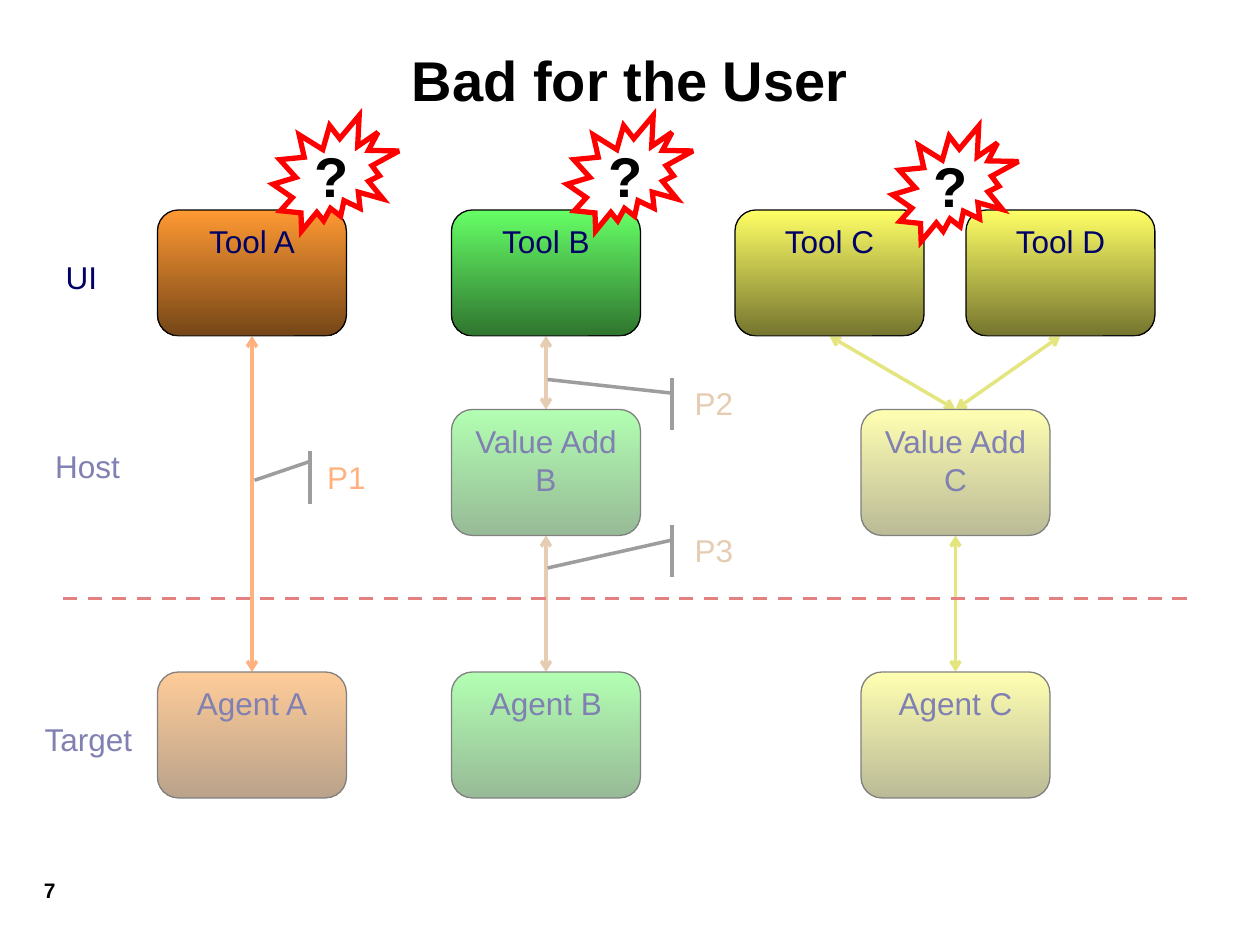
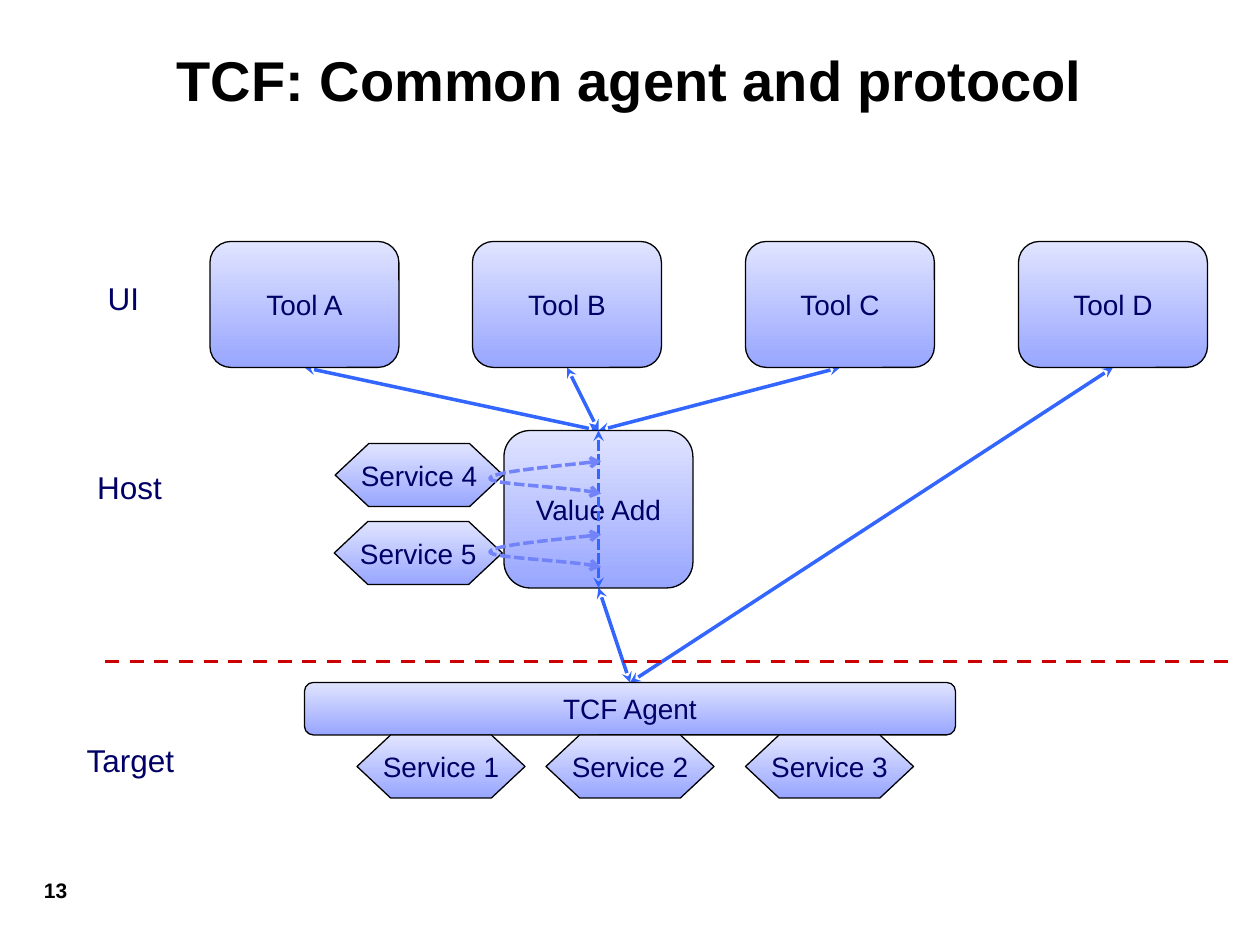
from lxml import etree
from pptx import Presentation
from pptx.dml.color import RGBColor
from pptx.enum.dml import MSO_LINE
from pptx.enum.shapes import MSO_CONNECTOR, MSO_SHAPE
from pptx.enum.text import MSO_ANCHOR, PP_ALIGN
from pptx.oxml.ns import qn
from pptx.util import Pt

BOX = MSO_SHAPE.ROUNDED_RECTANGLE
HEXAGON = MSO_SHAPE.FLOWCHART_PREPARATION
BURST = MSO_SHAPE.EXPLOSION2
CALLOUT = MSO_SHAPE.LINE_CALLOUT_1_ACCENT_BAR
RECTANGLE = MSO_SHAPE.RECTANGLE
STRAIGHT = MSO_CONNECTOR.STRAIGHT
DASH, SHORT_DASH = MSO_LINE.DASH, MSO_LINE.SQUARE_DOT
TOP, MIDDLE = MSO_ANCHOR.TOP, MSO_ANCHOR.MIDDLE
LEFT, CENTER = PP_ALIGN.LEFT, PP_ALIGN.CENTER

FONT = "Arial"
COLORS = {
    "black": "000000", "white": "FFFFFF", "label": "000066",
    "divider": "CC0000", "burst": "FF0000", "callout": "3B3B3B",
    "link_a": "FF6600", "link_b": "CC9966", "link_c": "CCCC00",
    "tcf_link": "3366FF", "service_link": "7283F9",
}
GRADIENTS = {
    "a": ("FF9933", "754617"),
    "b": ("66FF66", "2F752F"),
    "c": ("FFFF66", "75752F"),
    "tcf": ("E0E4FF", "98A6FF"),
}
BOX_W, BOX_H = 108, 72
SERVICE_W, SERVICE_H = 96, 36
LINK_WIDTH = 2.01


def rgb(name):
    return RGBColor.from_string(COLORS[name])


def write(shape, text, size, color="label", bold=False, align=CENTER,
          anchor=TOP, wrap=True, spaced=True):
    frame = shape.text_frame
    frame.word_wrap = wrap
    frame.vertical_anchor = anchor
    paragraph = frame.paragraphs[0]
    paragraph.text = text
    paragraph.alignment = align
    if spaced:
        paragraph.space_before = Pt(size * 5 / 16)
        paragraph.space_after = Pt(size * 3 / 16)
    font = paragraph.font
    font.name, font.size, font.bold = FONT, Pt(size), bold
    font.color.rgb = rgb(color)


def add_text(slide, x, y, w, h, text, size, **style):
    write(slide.shapes.add_textbox(Pt(x), Pt(y), Pt(w), Pt(h)), text, size, **style)


def style_line(line, color, width, dash=None, arrow=None):
    line.color.rgb = rgb(color)
    line.width = Pt(width)
    if dash:
        line.dash_style = dash
    if arrow:
        for end in ("a:headEnd", "a:tailEnd"):
            etree.SubElement(line._get_or_add_ln(), qn(end), type=arrow)


def add_line(slide, start, end, color, dash=None, arrow=None):
    points = [Pt(value) for value in (*start, *end)]
    connector = slide.shapes.add_connector(STRAIGHT, *points)
    style_line(connector.line, color, LINK_WIDTH, dash, arrow)
    etree.SubElement(connector._element.spPr, qn("a:effectLst"))


def add_preset(slide, kind, x, y, w, h):
    shape = slide.shapes.add_shape(kind, Pt(x), Pt(y), Pt(w), Pt(h))
    shape.shadow.inherit = False
    return shape


def add_node(slide, x, y, text, gradient, w=BOX_W, h=BOX_H, kind=BOX, size=18, **style):
    node = add_preset(slide, kind, x, y, w, h)
    node.fill.gradient()
    node.fill.gradient_angle = 270
    for stop, position, color in zip(node.fill.gradient_stops, (0, 1), GRADIENTS[gradient]):
        stop.position = position
        stop.color.rgb = RGBColor.from_string(color)
    style_line(node.line, "black", 0.75)
    write(node, text, size, **style)


def add_tcf_node(slide, x, y, text, **style):
    add_node(slide, x, y, text, "tcf", size=16, anchor=MIDDLE, **style)


def add_service(slide, x, y, number):
    add_tcf_node(slide, x, y, f"Service {number}", w=SERVICE_W, h=SERVICE_H,
                 kind=HEXAGON, wrap=False)


def add_callout(slide, x, y, text, color, adjustments):
    callout = add_preset(slide, CALLOUT, x, y, 36, 30)
    for index, value in enumerate(adjustments):
        callout.adjustments[index] = value
    callout.fill.background()
    style_line(callout.line, "callout", LINK_WIDTH)
    write(callout, text, 18, color=color, wrap=False)


def add_veil(slide, x, y, w, h):
    """Half-transparent white sheet that fades what lies below it."""
    veil = add_preset(slide, RECTANGLE, x, y, w, h)
    veil.fill.solid()
    veil.fill.fore_color.rgb = rgb("white")
    veil.line.fill.background()
    color = veil._element.spPr.find(".//" + qn("a:srgbClr"))
    etree.SubElement(color, qn("a:alpha"), val="50000")


def add_burst(slide, x, y):
    burst = add_preset(slide, BURST, x, y, 72, 66)
    burst.fill.solid()
    burst.fill.fore_color.rgb = rgb("white")
    style_line(burst.line, "burst", 3)
    # Sharp points
    etree.SubElement(burst.line._get_or_add_ln(), qn("a:miter"), lim="800000")
    write(burst, "?", 32, color="black", bold=True, anchor=MIDDLE, wrap=False)


def add_curve(slide, points, color):
    """Bezier curve: a start point, then three points per segment."""
    start, *rest = [(Pt(x), Pt(y)) for x, y in points]
    builder = slide.shapes.build_freeform(*start)
    builder.add_line_segments(rest, close=False)
    curve = builder.convert_to_shape()
    outline = curve._element.spPr.find(".//" + qn("a:path"))
    segments = outline.findall(qn("a:lnTo"))
    for first in range(0, len(segments), 3):
        bezier = etree.SubElement(outline, qn("a:cubicBezTo"))
        for segment in segments[first:first + 3]:
            bezier.append(segment[0])
            outline.remove(segment)
    curve.shadow.inherit = False
    curve.fill.background()
    style_line(curve.line, color, LINK_WIDTH, SHORT_DASH, "arrow")


def add_base(prs, title, number):
    slide = prs.slides.add_slide(prs.slide_layouts[6])
    add_text(slide, 18, 18, 684, 54, title, 32, color="black", bold=True,
             anchor=MIDDLE, spaced=False)
    add_text(slide, 18, 498, 90, 36, str(number), 12, color="black", bold=True,
             align=LEFT, spaced=False)
    return slide


def add_row_labels(slide, dx=0, dy=0):
    for text, x, y, w in (("UI", 29, 144, 35), ("Host", 23, 252, 54),
                          ("Target", 16, 408, 69)):
        add_text(slide, x + dx, y + dy, w, 29, text, 18, wrap=False)


def add_divider(slide, x, y):
    add_line(slide, (x, y), (x + 648, y), "divider", DASH)


def build_separate_tools(prs):
    slide = add_base(prs, "Bad for the User", 7)
    add_row_labels(slide)
    tool_y, value_y, agent_y = 120, 234, 384
    tool_end, value_end = tool_y + BOX_H, value_y + BOX_H
    a, b, c, d, shared = 90, 258, 420, 552, 492

    # Links: start column and height, end column and height
    for x1, y1, x2, y2, color in (
            (a, tool_end, a, agent_y, "link_a"),
            (b, value_end, b, agent_y, "link_b"),
            (b, tool_end, b, value_y, "link_b"),
            (shared, value_end, shared, agent_y, "link_c"),
            (c, tool_end, shared, value_y, "link_c"),
            (d, tool_end, shared, value_y, "link_c")):
        add_line(slide, (x1 + BOX_W / 2, y1), (x2 + BOX_W / 2, y2), color, arrow="arrow")

    # Tools, agents and value adds
    for x, y, text, gradient in (
            (a, tool_y, "Tool A", "a"), (b, tool_y, "Tool B", "b"),
            (c, tool_y, "Tool C", "c"), (d, tool_y, "Tool D", "c"),
            (a, agent_y, "Agent A", "a"), (b, agent_y, "Agent B", "b"),
            (shared, agent_y, "Agent C", "c"),
            (b, value_y, "Value Add B", "b"), (shared, value_y, "Value Add C", "c")):
        add_node(slide, x, y, text, gradient)
    add_divider(slide, 36, 342)

    # Protocol callouts
    add_callout(slide, 180, 258, "P1", "link_a", (0.19, -0.08, 0.55, -0.96))
    add_callout(slide, 390, 300, "P3", "link_b", (0.29, -0.17, 0.82, -2.14))
    add_callout(slide, 390, 216, "P2", "link_b", (0.29, -0.17, 0.03, -2.14))

    # Fade all but the tools, then question them
    add_veil(slide, 12, 192, 672, 288)
    for x, y in ((156, 66), (324, 66), (510, 72)):
        add_burst(slide, x, y)


def build_common_agent(prs):
    slide = add_base(prs, "TCF: Common agent and protocol", 13)
    tool_y, tool_end = 138, 138 + BOX_H
    tools = {"Tool A": 120, "Tool B": 270, "Tool C": 426, "Tool D": 582}
    value_top, value_bottom, agent_top = (342, 246), (342, 336), (360, 390)

    # Host services, behind the value add
    add_service(slide, 191.5, 253.5, 4)
    add_service(slide, 191, 298, 5)

    # Links
    for tool, x in tools.items():
        end = agent_top if tool == "Tool D" else value_top
        add_line(slide, (x + BOX_W / 2, tool_end), end, "tcf_link", arrow="stealth")
    add_line(slide, value_bottom, agent_top, "tcf_link", arrow="stealth")

    # Tools, agent and value add
    for tool, x in tools.items():
        add_tcf_node(slide, x, tool_y, tool)
    add_tcf_node(slide, 174, 390, "TCF Agent", w=372, h=30)
    add_tcf_node(slide, 288, 246, "Value Add", h=90)
    add_divider(slide, 60, 378)

    # Paths through the value add
    add_line(slide, value_top, value_bottom, "tcf_link", SHORT_DASH, "stealth")
    loop = ((343.5, 263.5), (312, 267), (280, 270), (280, 273.5),
            (280, 276.5), (329, 278.5), (343.5, 282))
    for dy in (0, 42):
        add_curve(slide, [(x, y + dy) for x, y in loop], "service_link")

    add_row_labels(slide, 24, 12)
    # Target services
    for number, x in enumerate((204, 312, 426), start=1):
        add_service(slide, x, 420, number)


def main():
    prs = Presentation()
    prs.slide_width, prs.slide_height = Pt(720), Pt(540)
    build_separate_tools(prs)
    build_common_agent(prs)
    prs.save("out.pptx")


main()
